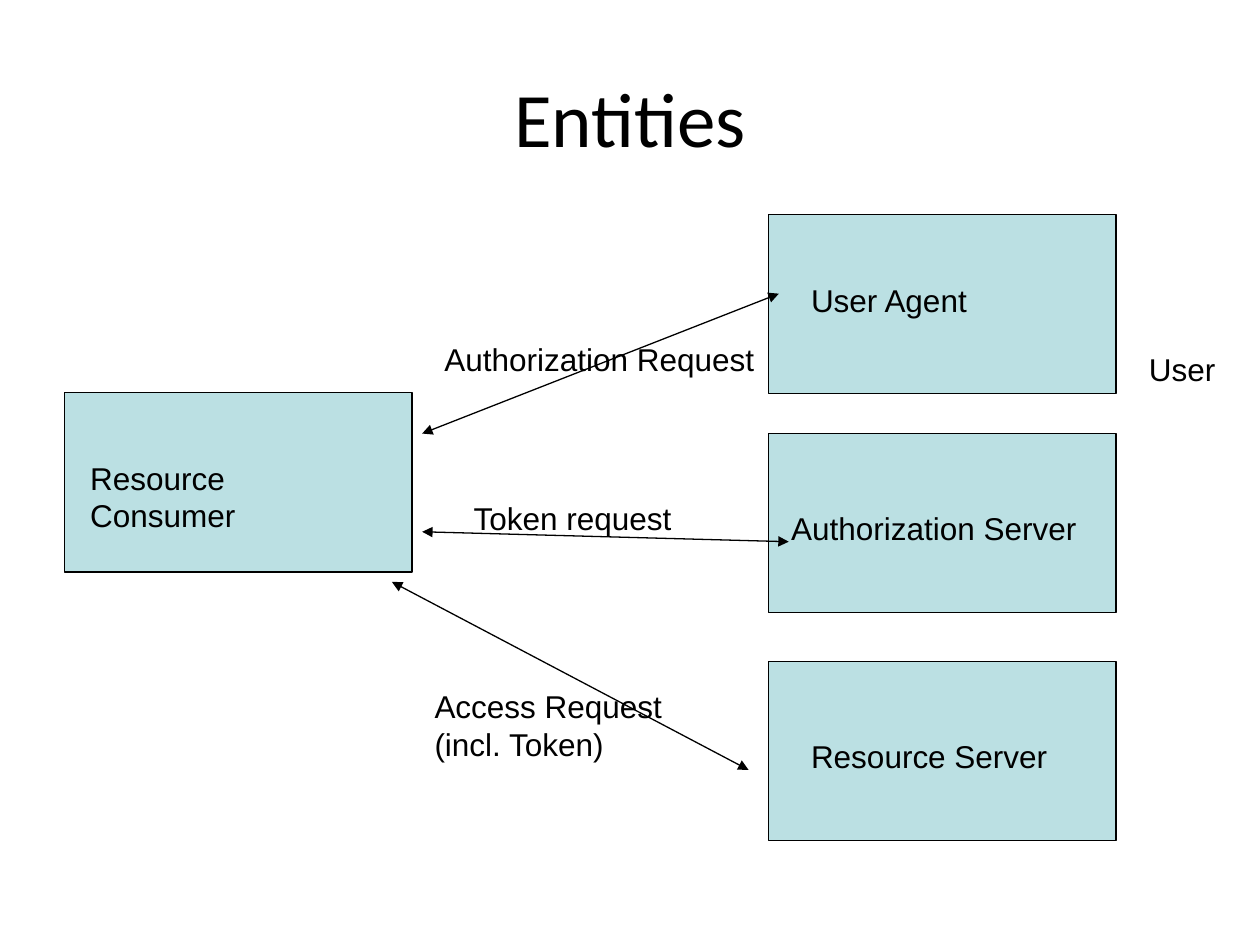
"""Draw the entities of a token-based authorization flow."""
from lxml import etree
from pptx import Presentation
from pptx import util as u
from pptx.dml import color
from pptx.enum import shapes, text
from pptx.oxml import ns

INK, FILL = "000000", "BBE0E3"
SIZE = (7.01, 3.61)
TITLE = ("Entities", 1.27, 0.76, 22.86, 3.18)
BOXES = [(15.49, 4.32), (15.49, 8.74), (15.49, 13.34), (1.3, 7.92)]
LABELS = [
    ("User Agent", 16.1, 5.54, 3.68),
    ("Authorization Server", 15.7, 10.13, 6.27),
    ("User", 22.91, 6.93, 1.85),
    ("Resource Server", 16.1, 14.73, 5.28),
    ("Resource Consumer", 1.57, 9.12, 6.32),
    ("Access Request\n(incl. Token)", 8.51, 13.72, 5.11),
    ("Token request", 9.3, 9.93, 4.57),
    ("Authorization Request", 8.71, 6.73, 6.76),
]
ARROWS = [
    (7.9, 11.73, 15.09, 15.52),
    (8.51, 10.72, 15.9, 10.92),
    (8.51, 8.74, 15.7, 5.92),
]


def rgb(code):
    """Turn a hex string into a colour."""
    return color.RGBColor.from_string(code)


def cm(nums):
    """Turn numbers into lengths."""
    return [u.Cm(n) for n in nums]


def stroke(line):
    """Give a line the common colour and width."""
    line.color.rgb = rgb(INK)
    line.width = u.Pt(0.75)


def write(slide, words, place, font, size):
    """Add a text box and return its frame."""
    frame = slide.shapes.add_textbox(*cm(place)).text_frame
    frame.text = words
    for para in frame.paragraphs:
        for run in para.runs:
            run.font.name = font
            run.font.size = u.Pt(size)
            run.font.color.rgb = rgb(INK)
    return frame


def title(slide):
    """Add the centred title."""
    words, *place = TITLE
    frame = write(slide, words, place, "Calibri", 44)
    frame.word_wrap = True
    frame.vertical_anchor = text.MSO_ANCHOR.MIDDLE
    frame.paragraphs[0].alignment = text.PP_ALIGN.CENTER


def box(slide, spot):
    """Add one entity box."""
    rect = slide.shapes.add_shape(shapes.MSO_SHAPE.RECTANGLE, *cm(spot + SIZE))
    rect.shadow.inherit = False
    rect.fill.solid()
    rect.fill.fore_color.rgb = rgb(FILL)
    stroke(rect.line)


def label(slide, words, left, top, width):
    """Add one label, as tall as its lines."""
    tall = 0.25 + 0.76 * len(words.split("\n"))
    frame = write(slide, words, (left, top, width, tall), "Arial", 18)
    frame.word_wrap = False
    frame.auto_size = text.MSO_AUTO_SIZE.SHAPE_TO_FIT_TEXT


def arrow(slide, ends):
    """Add one line with a head at each end."""
    link = slide.shapes.add_connector(shapes.MSO_CONNECTOR.STRAIGHT, *cm(ends))
    stroke(link.line)
    for tag in ("a:headEnd", "a:tailEnd"):
        etree.SubElement(link.line._get_or_add_ln(), ns.qn(tag), type="triangle")
    etree.SubElement(link._element.spPr, ns.qn("a:effectLst"))


def main():
    """Build and save the slide."""
    deck = Presentation()
    deck.slide_width, deck.slide_height = cm((25.4, 19.05))
    slide = deck.slides.add_slide(deck.slide_layouts[6])
    title(slide)
    for spot in BOXES:
        box(slide, spot)
    for item in LABELS:
        label(slide, *item)
    for ends in ARROWS:
        arrow(slide, ends)
    deck.save("out.pptx")


if __name__ == "__main__":
    main()
